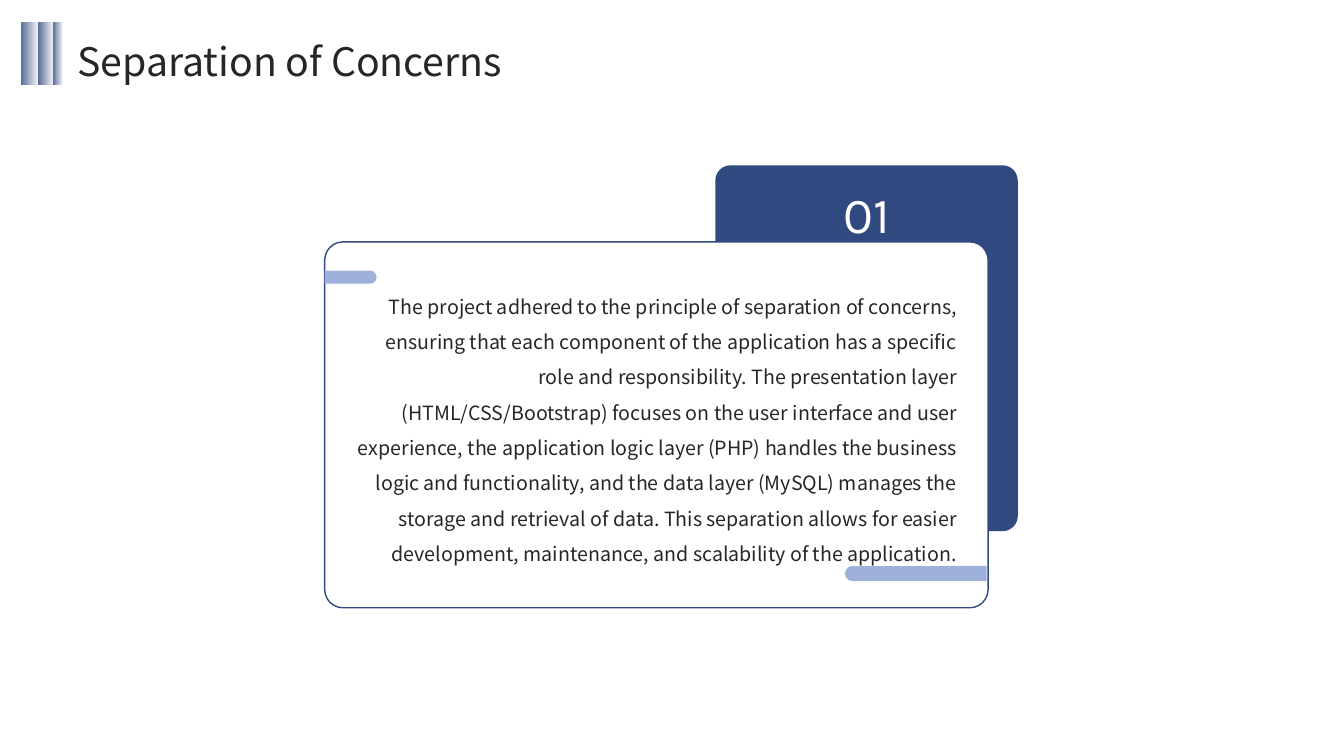
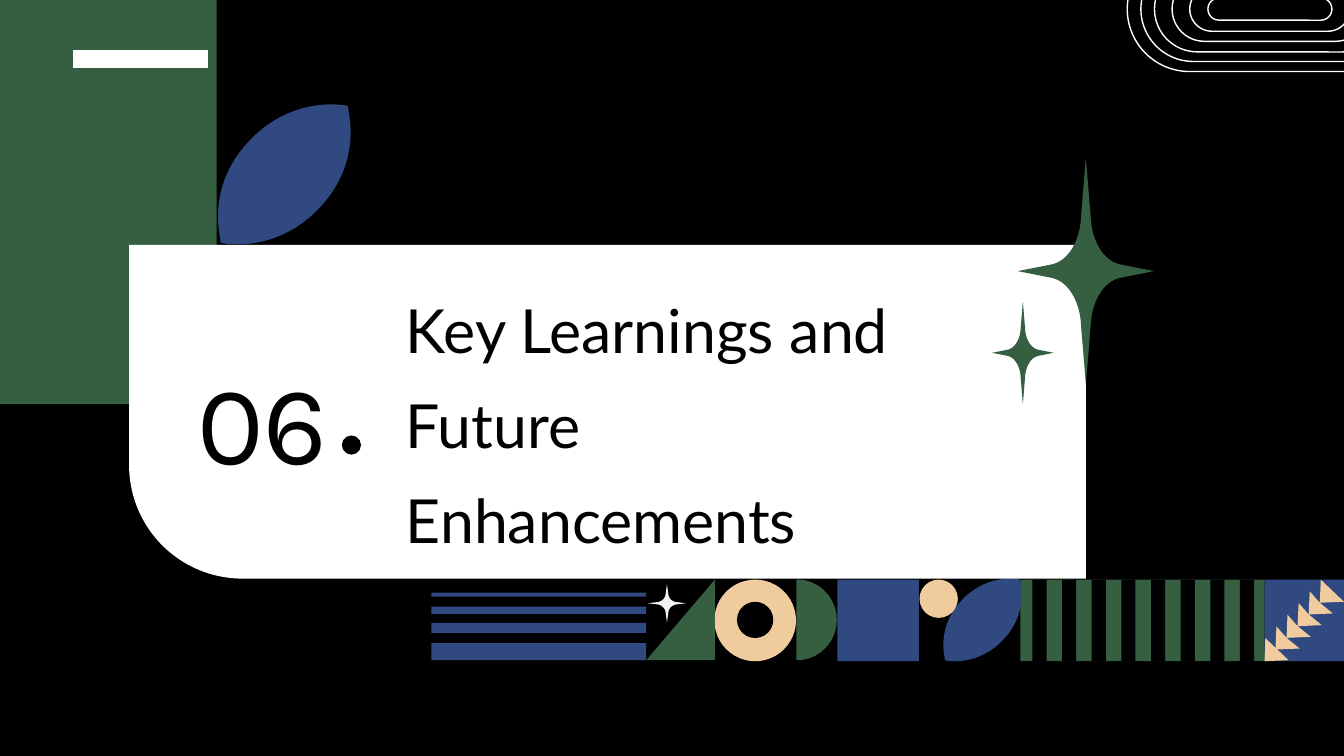
from lxml.etree import SubElement
from pptx import Presentation
from pptx.dml.color import RGBColor
from pptx.enum.shapes import MSO_SHAPE
from pptx.enum.text import MSO_ANCHOR, MSO_AUTO_SIZE, PP_ALIGN
from pptx.oxml.ns import qn
from pptx.util import Inches, Pt

COLORS = {
    "navy": "304981", "sky": "9EB1DB", "ink": "262626", "green": "365F41",
    "peach": "F0CB9E", "mist": "F2F2F2", "white": "FFFFFF", "black": "000000",
}
BODY, NUMERAL, HEADLINE = "Noto Sans CJK SC", "Karla", "Lato"
SLIDE_W, SLIDE_H = Inches(13.33), Inches(7.5)
COLUMNS, ROWS = 133.3, 75
CELL = SLIDE_H / ROWS  # square grid cell: all lengths below count these
TITLE_ONLY = 5


def color(name):
    return RGBColor.from_string(COLORS[name])


def write(frame, text, *, size, font=BODY, ink="ink", align=PP_ALIGN.LEFT,
          spacing=1.3, inset=0):
    frame.word_wrap = True
    frame.auto_size = MSO_AUTO_SIZE.NONE
    frame.vertical_anchor = MSO_ANCHOR.MIDDLE
    frame.margin_left = frame.margin_right = round(inset * CELL)
    frame.margin_top = frame.margin_bottom = round(inset / 2 * CELL)
    paragraph = frame.paragraphs[0]
    paragraph.alignment, paragraph.line_spacing = align, spacing
    run = paragraph.add_run()
    run.text = text
    run.font.name, run.font.size = font, Pt(size)
    run.font.color.rgb = color(ink)


def trace(steps):
    """Flatten steps to points: a pair is a corner, six numbers a cubic curve."""
    points = []
    for step in steps:
        if len(step) == 2:
            points.append(step)
            continue
        controls = [points[-1], step[:2], step[2:4], step[4:]]
        for i in range(1, 17):
            t = i / 16
            weights = ((1 - t) ** 3, 3 * t * (1 - t) ** 2, 3 * t * t * (1 - t), t ** 3)
            points.append(tuple(sum(w * p[axis] for w, p in zip(weights, controls))
                                for axis in (0, 1)))
    return points


def point_symmetric(half):
    return half + [(-x, -y) for x, y in half]


def corners_of(left, top, width, height):
    right, bottom = left + width, top + height
    return [(left, top), (right, top), (right, bottom), (left, bottom)]


def turned(left, top, width, height):
    """Box that covers the given one after a quarter turn."""
    return left + (width - height) / 2, top + (height - width) / 2, height, width


LEAF = point_symmetric(trace([
    (6.3, -6.8), (5.6, -6.9), (2.4, -7.2, -1, -6, -3.5, -3.3),
    (-6.1, -0.6, -7, 2.9, -6.4, 6.1)]))
STAR_QUARTER = trace([
    (0, -1), (0.07, -0.49), (0.08, -0.27, 0.26, -0.09, 0.5, -0.06), (1, 0)])
STAR = point_symmetric(STAR_QUARTER + [(x, -y) for x, y in reversed(STAR_QUARTER)])


class Deck:
    def __init__(self):
        self.file = Presentation()
        self.file.slide_width, self.file.slide_height = SLIDE_W, SLIDE_H
        self.slide = None

    def new_slide(self):
        self.slide = self.file.slides.add_slide(self.file.slide_layouts[TITLE_ONLY])

    def title(self, text, box, **style):
        """Place the title placeholder in front of what is drawn so far."""
        title = self.slide.shapes.title
        title.left, title.top, title.width, title.height = self.emu(box)
        write(title.text_frame, text, **style)
        self.slide.shapes.element.append(title.element)

    def text(self, text, box, **style):
        write(self.slide.shapes.add_textbox(*self.emu(box)).text_frame, text, **style)

    def shape(self, kind, box, fill=None, line=None, adjust=(), rotation=0):
        shape = self.slide.shapes.add_shape(kind, *self.emu(box))
        for i, value in enumerate(adjust):
            shape.adjustments[i] = value
        shape.rotation = rotation
        return self.paint(shape, fill, line)

    def rect(self, box, fill):
        return self.shape(MSO_SHAPE.RECTANGLE, box, fill)

    def circle(self, left, top, size, fill):
        self.shape(MSO_SHAPE.FLOWCHART_CONNECTOR, (left, top, size, size), fill)

    def tab(self, box, fill, rotation):
        """Bar lying in box, its rounded end turned sideways."""
        self.shape(MSO_SHAPE.ROUND_2_SAME_RECTANGLE, turned(*box), fill,
                   adjust=(0.5, 0), rotation=rotation)

    def fading_bar(self, box):
        bar = self.rect(box, "navy")
        bar.fill.gradient()
        bar.fill.gradient_angle = 0
        for stop in bar.fill.gradient_stops:
            stop.color.rgb = color("navy")
        for tone, opacity in zip(bar.element.iter(qn("a:srgbClr")), (80000, 0)):
            SubElement(tone, qn("a:alpha"), val=str(opacity))

    def outline(self, *contours, fill, center=(0, 0), scale=(1, 1)):
        """One freeform of closed contours, scaled and then moved to center."""
        placed = [[tuple(round((c + s * v) * CELL) for c, s, v in zip(center, scale, point))
                   for point in contour] for contour in contours]
        builder = self.slide.shapes.build_freeform(*placed[0][0], scale=1.0)
        for i, contour in enumerate(placed):
            if i:
                builder.move_to(*contour[0])
            builder.add_line_segments(contour[1:], close=True)
        self.paint(builder.convert_to_shape(), fill)

    @staticmethod
    def emu(box):
        return [round(length * CELL) for length in box]

    @staticmethod
    def paint(shape, fill=None, line=None):
        shape.shadow.inherit = False
        if fill:
            shape.fill.solid()
            shape.fill.fore_color.rgb = color(fill)
        else:
            shape.fill.background()
        if line:
            shape.line.color.rgb = color(line)
            shape.line.width = Pt(1)
        else:
            shape.line.fill.background()
        return shape


def concerns_slide(deck):
    deck.new_slide()
    rounded = MSO_SHAPE.ROUNDED_RECTANGLE
    deck.shape(rounded, (70.95, 16.4, 30, 36.3), "navy", adjust=(0.05,))
    deck.shape(rounded, (32.2, 24, 65.8, 36.3), "white", "navy", adjust=(0.05,))
    deck.text(
        "The project adhered to the principle of separation of concerns, ensuring that "
        "each component of the application has a specific role and responsibility. The "
        "presentation layer (HTML/CSS/Bootstrap) focuses on the user interface and user "
        "experience, the application logic layer (PHP) handles the business logic and "
        "functionality, and the data layer (MySQL) manages the storage and retrieval of "
        "data. This separation allows for easier development, maintenance, and "
        "scalability of the application.",
        (35.17, 28.88, 59.8, 26.4), size=14, align=PP_ALIGN.RIGHT, spacing=1.5)
    deck.text("01", (81.3, 17.75, 9.4, 5), size=36, font=NUMERAL, ink="white",
              align=PP_ALIGN.CENTER)
    deck.tab((32.2, 26.85, 5.15, 1.3), "sky", 90)
    deck.tab((83.8, 56.15, 14.05, 1.5), "sky", 270)
    deck.title("Separation of Concerns", (6.7, 2.5, 118.8, 5.6), size=28, inset=1)
    for left, width in ((2.1, 1.7), (3.8, 1.5), (5.3, 0.9)):
        deck.fading_bar((left, 2.2, width, 6.2))


def arrow_tile(deck, left, top, size):
    """Tile crossed by a chain of teeth climbing to the right."""
    deck.rect((left, top, size, size), "navy")
    teeth = [[(left + x + 1.1 * step, 63.3 + y - 1.16 * step)
              for x, y in ((0.1, 0), (0, 2.3), (2.4, 2.2))] for step in range(6)]
    lowest, *chain = teeth
    climb_down = [point for tooth in reversed(chain) for point in tooth[:2]]
    climb_up = [point for tooth in chain for point in tooth[1:]]
    deck.outline(climb_down + climb_up[1:], fill="peach")
    deck.outline(lowest, fill="peach")


def pattern_band(deck, top=57.5, tile=8.1):
    """Row of geometric tiles under the section panel."""
    deck.outline(STAR, fill="mist", center=(66.15, 59.85), scale=(1.9, 1.9))
    arrow_tile(deck, 125.4, top, tile)
    deck.rect((101.2, top, 24.2, tile), "green")
    deck.outline(*(corners_of(102.4 + 2.94 * gap, top, 1.4, tile) for gap in range(8)),
                 fill="black")
    deck.outline(LEAF, fill="navy", center=(97.45, 61.5), scale=(0.59, 0.59))
    deck.circle(91.2, top, 3.8, "peach")
    deck.rect((83.05, top, tile, tile), "navy")
    deck.outline(trace([(79, top), (79.1, top), (81.2, top, 83, 59.3, 83, 61.5),
                        (83, 63.7, 81.2, 65.5, 79.1, 65.5), (79, 65.5)]), fill="green")
    deck.circle(70.85, top, tile, "peach")
    deck.circle(73.1, 59.7, 3.6, "black")
    deck.shape(MSO_SHAPE.RIGHT_TRIANGLE, turned(64.1, top, 6.8, 8), "green", rotation=270)
    bars = ((58.8, 0.4), (60.2, 0.7), (61.8, 1), (63.8, 1.7))
    deck.outline(*(corners_of(42.8, bar_top, 21.3, height) for bar_top, height in bars),
                 fill="navy")


def section_slide(deck):
    deck.new_slide()
    deck.rect((0, 0, COLUMNS, ROWS), "black")
    deck.rect((0, 0, 21.5, 40.1), "green")
    deck.outline(corners_of(7.2, 5, 13.4, 1.7), fill="white")
    pattern_band(deck)
    ring_x, ring_y = 125.95, 0.9
    for width, height in ((28.3, 12.4), (19.4, 6.4), (15.9, 4.4),
                          (25.6, 10.4), (12.3, 2.2), (22.9, 8.5)):
        deck.shape(MSO_SHAPE.ROUNDED_RECTANGLE,
                   (ring_x - width / 2, ring_y - height / 2, width, height),
                   line="white", adjust=(0.5,), rotation=180)
    deck.shape(MSO_SHAPE.ROUND_1_RECTANGLE, (12.8, 24.3, 94.9, 33.1), "white",
               adjust=(0.34,), rotation=180)
    deck.outline(STAR, fill="green", center=(107.7, 26.9), scale=(6.75, 11.2))
    deck.outline(LEAF, fill="navy", center=(28.2, 17.3))
    deck.outline(STAR, fill="green", center=(101.45, 35), scale=(3.05, 5.1))
    deck.text("06", (11, 25.8, 21.5, 30.3), size=80, font=NUMERAL, ink="black",
              align=PP_ALIGN.RIGHT, spacing=1.1)
    deck.circle(33.9, 43.2, 1.9, "black")
    deck.title("Key Learnings and Future Enhancements", (40.25, 29.25, 55.9, 23.5),
               size=43.4, font=HEADLINE, ink="black")


def main():
    deck = Deck()
    concerns_slide(deck)
    section_slide(deck)
    deck.file.save("out.pptx")


if __name__ == "__main__":
    main()
